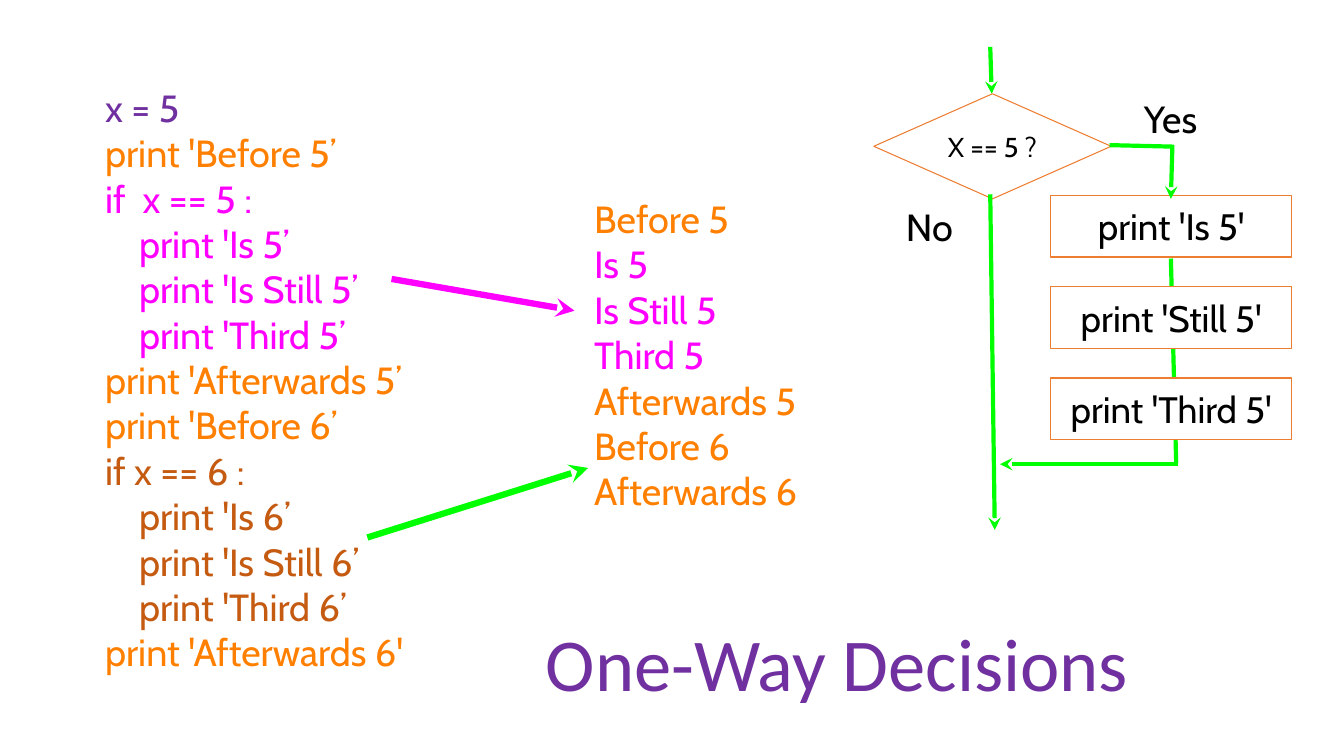
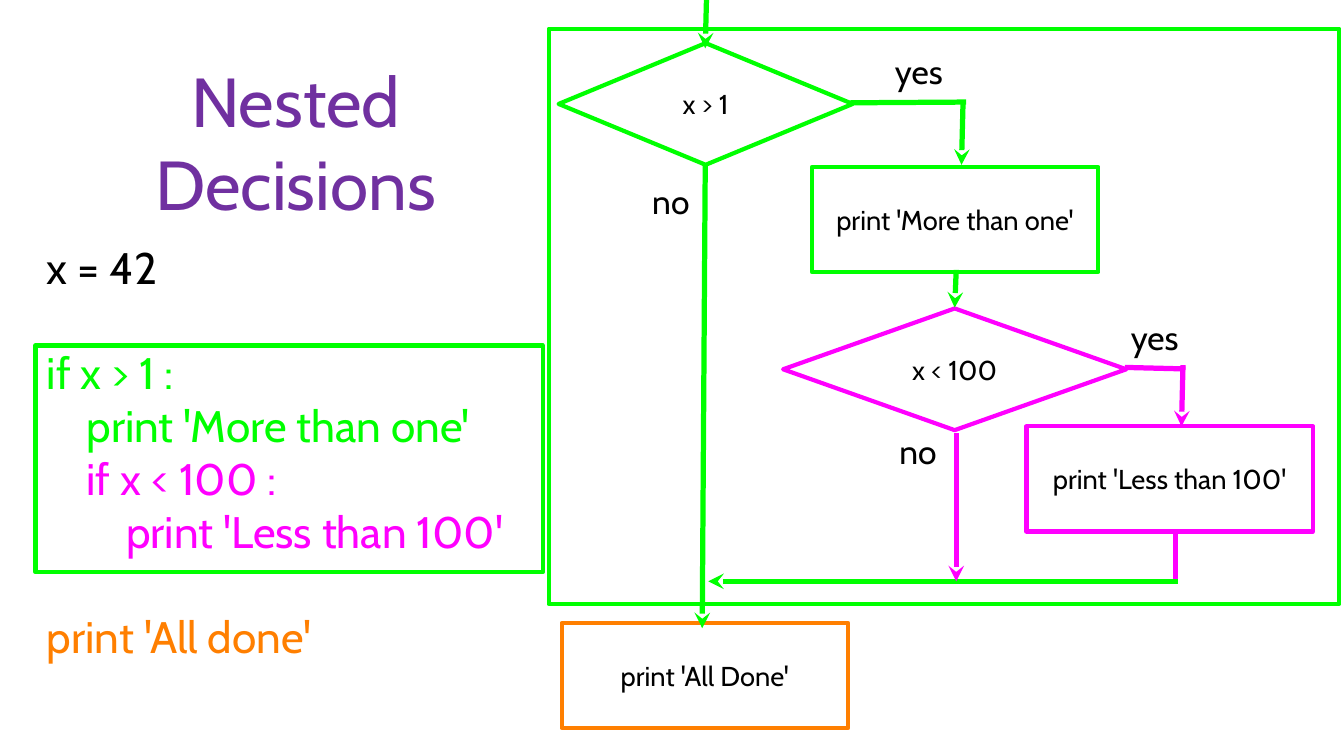
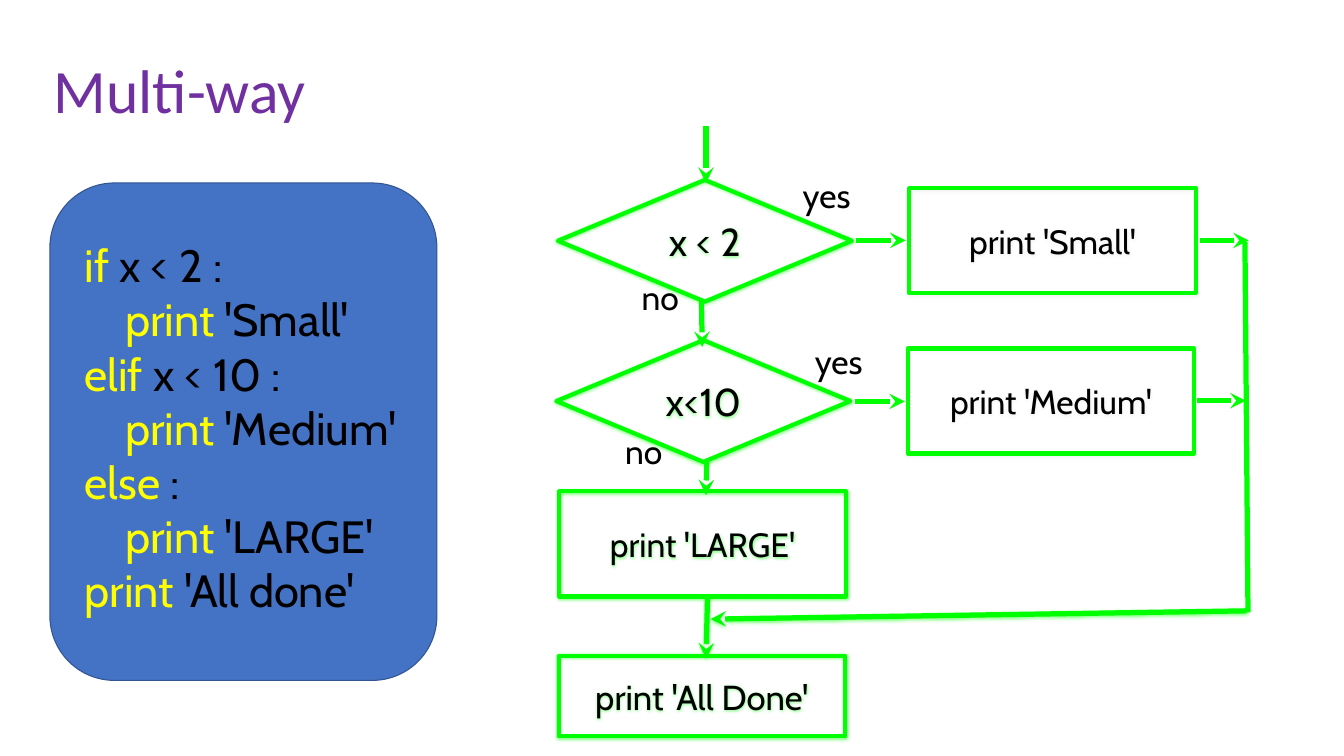
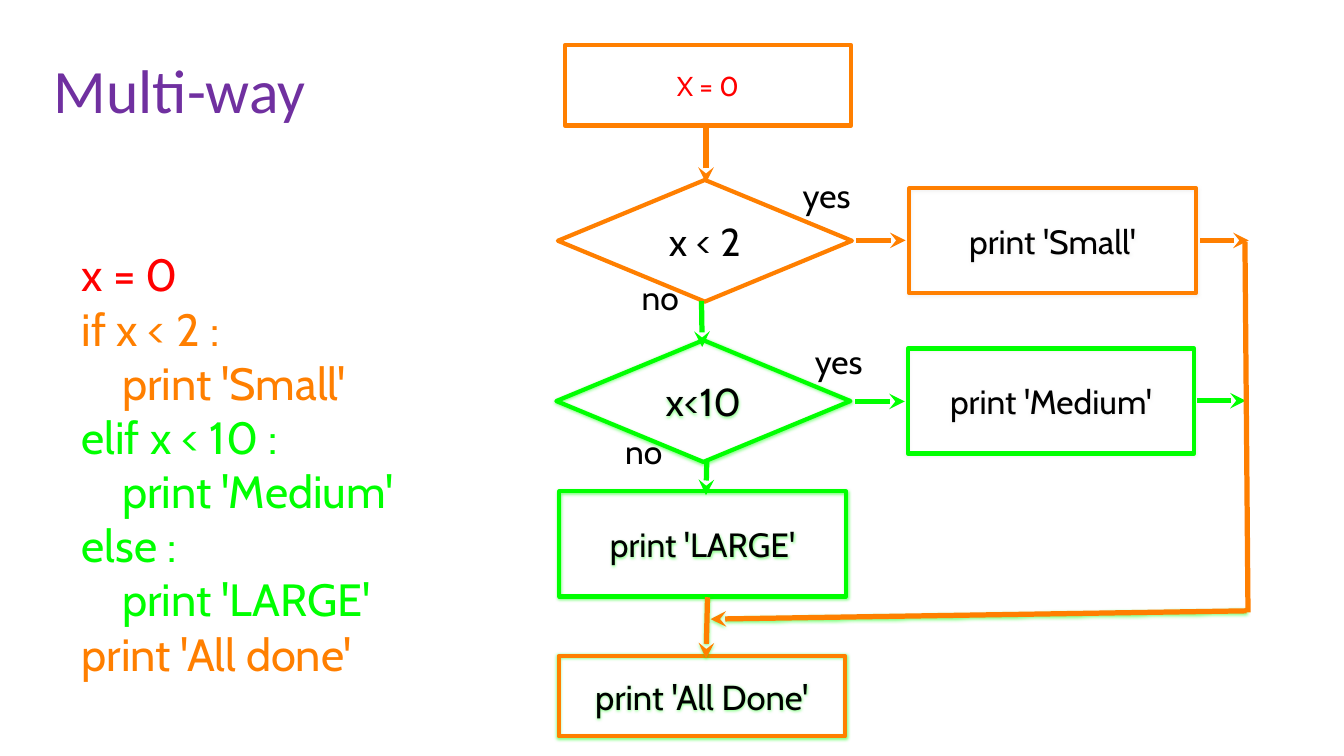
from lxml.etree import SubElement
from pptx import Presentation
from pptx.dml.color import RGBColor
from pptx.enum.shapes import MSO_CONNECTOR, MSO_SHAPE
from pptx.enum.text import MSO_ANCHOR, MSO_AUTO_SIZE, PP_ALIGN
from pptx.oxml.ns import qn
from pptx.util import Inches, Pt

HUES = {
    "black": "000000", "white": "FFFFFF", "purple": "7030A0",
    "orange": "FF7F00", "pink": "FF00FF", "lime": "00FF00",
    "brown": "C55A11", "rust": "ED7D31", "red": "FF0000",
    "yellow": "FFFF00", "blue": "4472C4", "navy": "325491",
    "grey": "E7E6E6",
}
HUES = {name: RGBColor.from_string(code) for name, code in HUES.items()}
RECT, GEM = MSO_SHAPE.RECTANGLE, MSO_SHAPE.DIAMOND


def box(slide, kind, at, text="", size=32, inks="black", edge=None, width=4, fill=None):
    place = [Inches(n) for n in at]
    if kind is None:
        item = slide.shapes.add_textbox(*place)
    else:
        item = slide.shapes.add_shape(kind, *place)
        item.shadow.inherit = False
        item.line.color.rgb = HUES[edge]
        item.line.width = Pt(width)
        if fill:
            item.fill.solid()
            item.fill.fore_color.rgb = HUES[fill]
        else:
            item.fill.background()
    if not text:
        return item
    frame = item.text_frame
    frame.text = text
    frame.word_wrap = kind is not None
    frame.auto_size = MSO_AUTO_SIZE.NONE if kind else MSO_AUTO_SIZE.SHAPE_TO_FIT_TEXT
    frame.vertical_anchor = MSO_ANCHOR.MIDDLE
    frame.margin_left = frame.margin_right = frame.margin_top = frame.margin_bottom = 0
    tones = inks.split()
    tones += tones[-1:] * (len(frame.paragraphs) - len(tones))
    for para, tone in zip(frame.paragraphs, tones):
        para.alignment = PP_ALIGN.LEFT if "\n" in text else PP_ALIGN.CENTER
        for run in para.runs:
            run.font.name = "Cabin"
            run.font.size = Pt(size)
            run.font.color.rgb = HUES[tone]
    return item


def line(slide, tip, tail, tone="lime", width=5, arrow=True):
    item = slide.shapes.add_connector(
        MSO_CONNECTOR.STRAIGHT, *[Inches(n) for n in tip + tail])
    item.line.color.rgb = HUES[tone]
    item.line.width = Pt(width)
    props = item._element.spPr
    if arrow:
        SubElement(props.find(qn("a:ln")), qn("a:headEnd"), type="stealth")
    SubElement(props, qn("a:effectLst"))
    return item


deck = Presentation()
deck.slide_width, deck.slide_height = Inches(17.78), Inches(10)

heads = [
    ("One-Way Decisions", (7.12, 7.57, 10.38, 2.51), 71, "Calibri"),
    ("Nested Decisions", (1.28, 0.61, 5.26, 2.51), 66, "Cabin"),
    ("Multi-way", (0.61, 0.33, 5.9, 1.81), 58.7, "Calibri"),
    ("Multi-way", (0.61, 0.33, 5.9, 1.81), 58.7, "Calibri"),
]
for text, at, size, face in heads:
    title = deck.slides.add_slide(deck.slide_layouts[5]).shapes.title
    title.left, title.top, title.width, title.height = [Inches(n) for n in at]
    frame = title.text_frame
    frame.text = text
    frame.word_wrap = True
    frame.auto_size = MSO_AUTO_SIZE.NONE
    frame.vertical_anchor = MSO_ANCHOR.MIDDLE
    para = frame.paragraphs[0]
    para.alignment = PP_ALIGN.CENTER if face == "Cabin" else PP_ALIGN.LEFT
    para.line_spacing = 1.0 if face == "Cabin" else 0.9
    font = para.runs[0].font
    font.name, font.size, font.color.rgb = face, Pt(size), HUES["purple"]
one, nest, multi, trace = deck.slides

code = """x = 5
print 'Before 5’
if  x == 5 :
    print 'Is 5’
    print 'Is Still 5’
    print 'Third 5’
print 'Afterwards 5’
print 'Before 6’
if x == 6 :
    print 'Is 6’
    print 'Is Still 6’
    print 'Third 6’
print 'Afterwards 6'"""
box(one, None, (1.39, 1.08, 3.97, 7.88), code, 36,
    "purple orange pink pink pink pink orange orange brown brown brown brown orange")
result = "Before 5\nIs 5\nIs Still 5\nThird 5\nAfterwards 5\nBefore 6\nAfterwards 6"
box(one, None, (7.86, 2.57, 2.69, 4.24), result, 36, "orange pink pink pink orange")
line(one, (7.6, 4.11), (5.18, 3.69), "pink", 6)
line(one, (7.78, 6.19), (4.86, 7.11), "lime", 6)
line(one, (13.12, 1.24), (13.1, 0.62), width=4)
box(one, GEM, (11.56, 1.24, 3.14, 1.39), "X == 5 ?", 26, edge="rust", width=1, fill="white")
line(one, (15.49, 3.42), (15.56, 6.12), width=4, arrow=False)
for row, word in enumerate(["Is", "Still", "Third"]):
    box(one, RECT, (13.9, 2.58 + 1.21 * row, 3.19, 0.82), f"print '{word} 5'", 35,
        edge="rust", width=1, fill="white")
for tip, tail, arrow in [
    ((13.16, 7.01), (13.1, 2.57), True),
    ((15.53, 1.94), (14.68, 1.92), False),
    ((15.49, 2.63), (15.51, 1.92), True),
    ((13.23, 6.14), (15.58, 6.14), True),
]:
    line(one, tip, tail, width=4, arrow=arrow)
box(one, None, (15.09, 1.22, 0.79, 0.68), "Yes", 36)
box(one, None, (11.9, 2.65, 0.79, 0.68), "No", 36)

for kind, at, text, tone in [
    (GEM, (7.39, 0.57, 3.89, 1.61), "x > 1", "lime"),
    (RECT, (10.74, 2.21, 3.79, 1.39), "print 'More than one'", "lime"),
    (GEM, (10.36, 4.08, 4.54, 1.61), "x < 100", "pink"),
    (RECT, (13.58, 5.64, 3.79, 1.39), "print 'Less than 100'", "pink"),
    (RECT, (7.43, 8.24, 3.79, 1.39), "print 'All Done'", "orange"),
    (RECT, (0.47, 4.57, 6.71, 3), "", "lime"),
    (RECT, (7.26, 0.38, 10.46, 7.61), "", "lime"),
]:
    box(nest, kind, at, text, 26, edge=tone)
for tip, tail, tone, arrow in [
    ((11.25, 1.36), (12.78, 1.35), "lime", False),
    ((12.72, 2.18), (12.74, 1.37), "lime", True),
    ((9.29, 8.31), (9.33, 2.16), "lime", True),
    ((14.88, 4.86), (15.68, 4.88), "pink", False),
    ((15.63, 5.64), (15.65, 4.83), "pink", True),
    ((12.63, 4.07), (12.65, 3.57), "lime", True),
    ((15.55, 7.67), (15.55, 7.06), "pink", False),
    ((9.37, 7.69), (15.59, 7.69), "lime", True),
    ((9.33, 0.64), (9.35, -0.17), "lime", True),
    ((12.65, 7.69), (12.65, 5.73), "pink", True),
]:
    line(nest, tip, tail, tone, arrow=arrow)
for text, left, top, width in [
    ("yes", 11.81, 0.63, 0.69), ("yes", 14.93, 4.16, 0.69),
    ("no", 11.85, 5.66, 0.59), ("no", 8.58, 2.35, 0.59),
]:
    box(nest, None, (left, top, width, 0.61), text)
code = """x = 42
if x > 1 :
    print 'More than one'
    if x < 100 :
        print 'Less than 100'
print 'All done'"""
item = box(nest, None, (0.62, 3.19, 6.18, 5.56), code, 42, "black lime lime pink pink orange")
for row in (1, 5):
    item.text_frame.paragraphs[row].space_before = Pt(50)

code = """if x < 2 :
    print 'Small'
elif x < 10 :
    print 'Medium'
else :
    print 'LARGE'
print 'All done'"""
box(multi, MSO_SHAPE.ROUNDED_RECTANGLE, (0.66, 2.42, 5.12, 6.58),
    edge="navy", width=1, fill="blue")
item = box(multi, None, (1.12, 3.21, 4.29, 4.88), code, 43)
for para in item.text_frame.paragraphs:
    text = para.text
    word = text.split()[0]
    para.clear()
    for part in text.partition(word):
        if part:
            run = para.add_run()
            run.text = part
            run.font.name, run.font.size = "Cabin", Pt(43)
            run.font.color.rgb = HUES["yellow" if part == word else "black"]
box(trace, None, (1.08, 3.35, 4.29, 5.56), "x = 0\n" + code, 43,
    "red orange orange lime lime lime lime orange")
box(trace, RECT, (7.47, 0.6, 3.79, 1.06), "X = 0", 26, "red", "orange")

for slide, hot in [(multi, "lime"), (trace, "orange")]:
    glows = []
    for kind, at, text, size, tone, glow in [
        (GEM, (7.38, 2.38, 3.89, 1.61), "x < 2", 37, hot, "lime" if slide is multi else None),
        (RECT, (12.03, 2.49, 3.79, 1.39), "print 'Small'", 32, hot, "grey"),
        (RECT, (7.39, 8.68, 3.79, 1.06), "print 'All Done'", 33, hot, "lime"),
        (GEM, (7.36, 4.5, 3.89, 1.61), "x<10", 37, "lime", "lime"),
        (RECT, (12.01, 4.61, 3.79, 1.39), "print 'Medium'", 32, "lime", "grey"),
        (RECT, (7.4, 6.5, 3.79, 1.39), "print 'LARGE'", 32, "lime", "lime"),
    ]:
        glows.append((box(slide, kind, at, text, size, edge=tone), glow))
    for tip, tail, tone, glow in [
        ((11.98, 3.18), (11.33, 3.18), hot, None),
        ((9.4, 8.19), (16.49, 8.08), hot, "lime"),
        ((9.34, 2.42), (9.34, 1.67), hot, None),
        ((9.34, 8.71), (9.36, 7.9), hot, "lime"),
        ((11.97, 5.31), (11.31, 5.31), "lime", None),
        ((16.52, 3.18), (15.87, 3.18), hot, None),
        ((16.48, 5.3), (15.83, 5.3), "lime", None),
        ((9.29, 4.59), (9.28, 3.98), "lime", None),
        ((9.34, 6.55), (9.35, 6.1), "lime", None),
    ]:
        glows.append((line(slide, tip, tail, tone), glow))
    line(slide, (16.51, 8.1), (16.47, 3.2), hot, arrow=False)
    for text, left, top, width in [
        ("yes", 10.59, 2.27, 0.69), ("no", 8.44, 3.63, 0.59),
        ("yes", 10.75, 4.47, 0.69), ("no", 8.22, 5.66, 0.59),
    ]:
        box(slide, None, (left, top, width, 0.61), text)
    for item, glow in glows:
        if glow:
            effect = item._element.spPr.find(qn("a:effectLst"))
            shade = SubElement(effect, qn("a:outerShdw"), blurRad=str(Pt(3)),
                               dist=str(Pt(1)), dir="5400000", rotWithShape="0")
            color = SubElement(shade, qn("a:srgbClr"), val=str(HUES[glow]))
            SubElement(color, qn("a:alpha"), val="50000")

deck.save("out.pptx")
